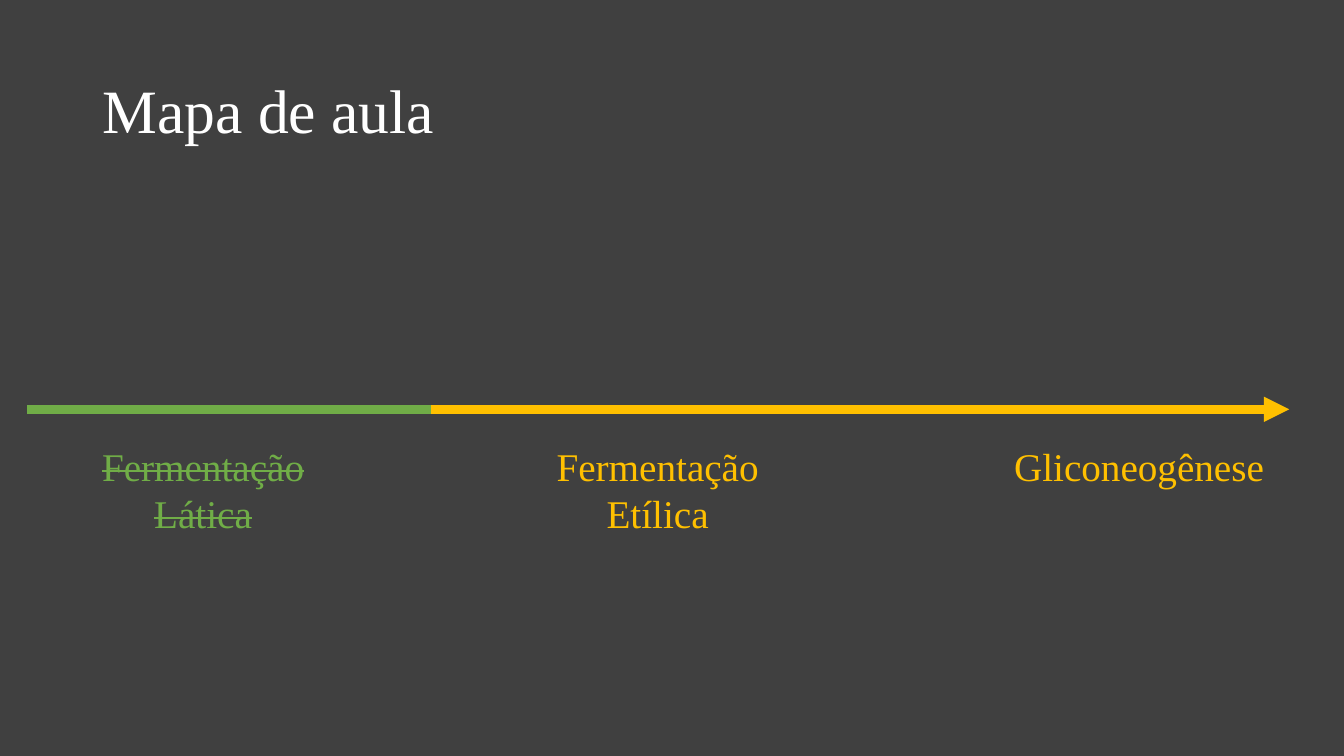
import dataclasses

import pptx
import pptx.dml.color
import pptx.enum.dml
import pptx.enum.shapes
import pptx.enum.text
import pptx.oxml
import pptx.oxml.ns
import pptx.slide
import pptx.util

RGBColor = pptx.dml.color.RGBColor
BACKGROUND = RGBColor(0x40, 0x40, 0x40)
WHITE = RGBColor(0xFF, 0xFF, 0xFF)
DONE_GREEN = RGBColor(0x70, 0xAD, 0x47)
AHEAD_AMBER = RGBColor(0xFF, 0xC0, 0x00)

FONT_NAME = "Times New Roman"
PAGE_WIDTH = pptx.util.Inches(13.33)
PAGE_HEIGHT = pptx.util.Inches(7.5)
COLUMNS, ROWS = 40, 20
LINE_ROW = 10.83
LABEL_ROW = 11.57
LINE_START = 0.81

ALIGN = pptx.enum.text.PP_ALIGN
ANCHOR = pptx.enum.text.MSO_ANCHOR
AUTO_SIZE = pptx.enum.text.MSO_AUTO_SIZE


@dataclasses.dataclass(frozen=True)
class Label:
    """Text placed on the grid, in columns and rows."""
    lines: tuple[str, ...]
    left: float
    width: float
    height: float
    color: RGBColor
    top: float = LABEL_ROW
    size: int = 28
    struck: bool = False
    align: ALIGN = ALIGN.CENTER
    anchor: ANCHOR = ANCHOR.TOP
    auto_size: AUTO_SIZE = AUTO_SIZE.SHAPE_TO_FIT_TEXT
    line_spacing: float = 1.0


@dataclasses.dataclass(frozen=True)
class Stretch:
    """Part of the timeline, from its start to an end column."""
    end: float
    color: RGBColor
    arrow: bool = False


TITLE = Label(("Mapa de aula",), 2.75, 34.5, 3.87, WHITE, top=1.07, size=44,
              align=ALIGN.LEFT, anchor=ANCHOR.MIDDLE,
              auto_size=AUTO_SIZE.NONE, line_spacing=0.9)
TOPICS = (
    Label(("Fermentação Lática",), 2.34, 7.41, 2.77, DONE_GREEN, struck=True),
    Label(("Fermentação", "Etílica"), 15.87, 7.41, 2.77, AHEAD_AMBER),
    Label(("Gliconeogênese",), 29.82, 8.16, 1.52, AHEAD_AMBER),
)
STRETCHES = (
    Stretch(38.37, AHEAD_AMBER, arrow=True),
    Stretch(12.84, DONE_GREEN),
)


def across(columns: float) -> int:
    return round(PAGE_WIDTH * columns / COLUMNS)


def down(rows: float) -> int:
    return round(PAGE_HEIGHT * rows / ROWS)


def apply_format(target: object, values: dict[str, object]) -> None:
    for name, value in values.items():
        setattr(target, name, value)


def draw_label(page: pptx.slide.Slide, label: Label) -> None:
    box = page.shapes.add_textbox(across(label.left), down(label.top),
                                  across(label.width), down(label.height))
    frame = box.text_frame
    apply_format(frame, {"word_wrap": True, "auto_size": label.auto_size,
                         "vertical_anchor": label.anchor})
    for index, line in enumerate(label.lines):
        para = frame.add_paragraph() if index else frame.paragraphs[0]
        apply_format(para, {"alignment": label.align,
                            "line_spacing": label.line_spacing})
        span = para.add_run()
        span.text = line
        apply_format(span.font, {"name": FONT_NAME,
                                 "size": pptx.util.Pt(label.size)})
        span.font.color.rgb = label.color
        if label.struck:
            span._r.get_or_add_rPr().set("strike", "sngStrike")


def draw_stretch(page: pptx.slide.Slide, stretch: Stretch) -> None:
    connector = page.shapes.add_connector(
        pptx.enum.shapes.MSO_CONNECTOR.STRAIGHT,
        across(LINE_START), down(LINE_ROW),
        across(stretch.end), down(LINE_ROW))
    connector.line.width = pptx.util.Pt(6)
    connector.line.color.rgb = stretch.color
    if stretch.arrow:
        head = pptx.oxml.parse_xml(
            f'<a:tailEnd {pptx.oxml.ns.nsdecls("a")} type="triangle"/>')
        connector.line._get_or_add_ln().append(head)
    connector._element.spPr.append(pptx.oxml.parse_xml(
        f'<a:effectLst {pptx.oxml.ns.nsdecls("a")}/>'))


def main() -> None:
    deck = pptx.Presentation()
    apply_format(deck, {"slide_width": PAGE_WIDTH,
                        "slide_height": PAGE_HEIGHT})
    page = deck.slides.add_slide(deck.slide_layouts[6])
    page.background.fill.solid()
    page.background.fill.fore_color.rgb = BACKGROUND
    for stretch in STRETCHES:
        draw_stretch(page, stretch)
    for label in (*TOPICS, TITLE):
        draw_label(page, label)
    deck.save("out.pptx")


if __name__ == "__main__":
    main()
